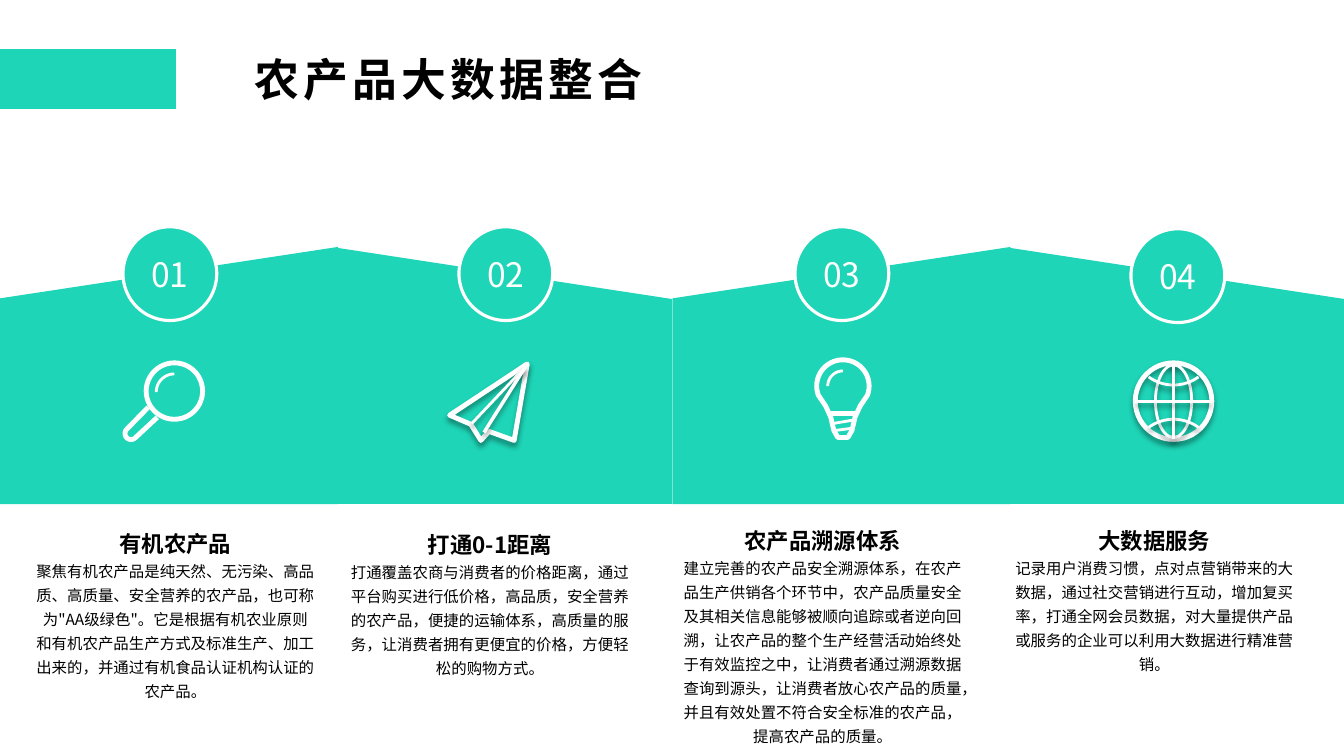
from math import cos, radians, sin

from lxml import etree
from pptx import Presentation
from pptx.dml.color import RGBColor
from pptx.enum.shapes import MSO_CONNECTOR, MSO_SHAPE
from pptx.enum.text import MSO_ANCHOR, MSO_AUTO_SIZE, PP_ALIGN
from pptx.oxml import parse_xml
from pptx.oxml.ns import nsdecls, qn
from pptx.util import Inches, Pt

COLORS = {"teal": "1ED5B7", "white": "FFFFFF", "black": "000000"}
FONT = "Noto Sans CJK SC"
COLUMN = 13.33 / 4


def write(paragraph, text, size=11, color="black", bold=False,
          align=PP_ALIGN.CENTER, line_spacing=None, tracking=0):
    paragraph.alignment = align
    paragraph.line_spacing = line_spacing
    run = paragraph.add_run()
    run.text = text
    run.font.size = Pt(size)
    run.font.bold = bold
    run.font.color.rgb = RGBColor.from_string(COLORS[color])
    run.font.name = FONT
    properties = run.font._element
    etree.SubElement(properties, qn("a:ea")).set("typeface", FONT)
    if tracking:
        properties.set("spc", str(tracking * 100))


def arc(x, y, radius, start, end):
    """Points along a circle, angles in degrees counterclockwise from the right."""
    angles = [radians(start + (end - start) * step / 32) for step in range(33)]
    return [(x + radius * cos(a), y - radius * sin(a)) for a in angles]


presentation = Presentation()
presentation.slide_width = Inches(13.33)
presentation.slide_height = Inches(7.5)
slide = presentation.slides.add_slide(presentation.slide_layouts[5])
shapes = slide.shapes
teal = RGBColor.from_string(COLORS["teal"])
white = RGBColor.from_string(COLORS["white"])

title = shapes.title
title.left, title.top = Inches(2.42), Inches(0.47)
title.width, title.height = Inches(4.93), Inches(0.61)
title.text_frame.vertical_anchor = MSO_ANCHOR.MIDDLE
title.text_frame.auto_size = MSO_AUTO_SIZE.NONE
write(title.text_frame.paragraphs[0], "农产品大数据整合", size=32, bold=True,
      align=PP_ALIGN.LEFT, tracking=3)

title_bar = shapes.add_shape(MSO_SHAPE.RECTANGLE, Inches(-0.03), Inches(0.48),
                             Inches(1.78), Inches(0.61))
title_bar.shadow.inherit = False
title_bar.fill.solid()
title_bar.fill.fore_color.rgb = teal
title_bar.line.color.rgb = white
title_bar.line.width = Pt(1)

# Slanted bands, every second one mirrored
for left, top, width, mirrored in [
    (0, 2.45, 3.35, False), (3.35, 2.46, 3.32, True),
    (6.67, 2.45, 3.35, False), (10.02, 2.46, 3.32, True),
]:
    band = shapes.add_shape(MSO_SHAPE.FLOWCHART_MANUAL_INPUT, Inches(left),
                            Inches(top), Inches(width), Inches(5 - top))
    band.shadow.inherit = False
    band.fill.solid()
    band.fill.fore_color.rgb = teal
    band.line.fill.background()
    if mirrored:
        band.element.spPr.xfrm.set("flipH", "1")

# Numbered circles and the texts below: left, top, height, heading, body
topics = [
    (0.25, 5.13, 2.14, "有机农产品",
     "聚焦有机农产品是纯天然、无污染、高品质、高质量、安全营养的农产品，也可称为\"AA级绿色\"。"
     "它是根据有机农业原则和有机农产品生产方式及标准生产、加工出来的，并通过有机食品认证机构认证的农产品。"),
    (3.37, 5.14, 1.65, "打通0-1距离",
     "打通覆盖农商与消费者的价格距离，通过平台购买进行低价格，高品质，安全营养的农产品，"
     "便捷的运输体系，高质量的服务，让消费者拥有更便宜的价格，方便轻松的购物方式。"),
    (6.67, 5.1, 2.38, "农产品溯源体系",
     "建立完善的农产品安全溯源体系，在农产品生产供销各个环节中，农产品质量安全及其相关信息能够被"
     "顺向追踪或者逆向回溯，让农产品的整个生产经营活动始终处于有效监控之中，让消费者通过溯源数据"
     "查询到源头，让消费者放心农产品的质量，并且有效处置不符合安全标准的农产品，提高农产品的质量。"),
    (9.96, 5.1, 1.89, "大数据服务",
     "记录用户消费习惯，点对点营销带来的大数据，通过社交营销进行互动，增加复买率，"
     "打通全网会员数据，对大量提供产品或服务的企业可以利用大数据进行精准营销。"),
]
for index, (left, top, height, heading, body) in enumerate(topics):
    badge = shapes.add_shape(MSO_SHAPE.OVAL, Inches(1.22 + index * COLUMN),
                             Inches(2.27 if index == 3 else 2.25),
                             Inches(0.93), Inches(0.93))
    badge.shadow.inherit = False
    badge.fill.solid()
    badge.fill.fore_color.rgb = teal
    badge.line.color.rgb = white
    badge.line.width = Pt(2.25)
    badge.text_frame.word_wrap = False
    badge.text_frame.vertical_anchor = MSO_ANCHOR.MIDDLE
    write(badge.text_frame.paragraphs[0], f"{index + 1:02}", size=24, color="white")

    frame = shapes.add_textbox(Inches(left), Inches(top), Inches(2.98),
                               Inches(height)).text_frame
    frame.word_wrap = True
    frame.auto_size = MSO_AUTO_SIZE.SHAPE_TO_FIT_TEXT
    write(frame.paragraphs[0], heading, size=16, bold=True, line_spacing=1.3)
    write(frame.add_paragraph(), body, line_spacing=1.3)

# Icons: strokes are drawn in white, some with a soft shadow
strokes = []

# Magnifier ring, globe rim and globe meridian: centre, radii, width, shadow
for x, y, radius_x, radius_y, weight, shadowed in [
    (1.73, 3.88, 0.28, 0.28, 3.5, False),
    (11.64, 3.98, 0.38, 0.38, 3.5, True),
    (11.64, 3.98, 0.18, 0.36, 2, True),
]:
    ring = shapes.add_shape(MSO_SHAPE.OVAL, Inches(x - radius_x), Inches(y - radius_y),
                            Inches(2 * radius_x), Inches(2 * radius_y))
    strokes.append((ring, weight, shadowed))

handle = [(1.47, 4.04), *arc(1.3, 4.3, 0.06, 135, 315), (1.56, 4.14)]
bulb = [*arc(8.36, 3.83, 0.26, -20, 200),
        (8.19, 4.03), (8.24, 4.14), (8.27, 4.27), (8.31, 4.34),
        (8.41, 4.34), (8.45, 4.27), (8.48, 4.14), (8.53, 4.03)]
plane = [(5.23, 3.61), (4.46, 4.12), (4.67, 4.21), (4.77, 4.37),
         (4.85, 4.28), (5.1, 4.37)]
for points, closed, weight, shadowed in [
    (handle, False, 3.5, False),
    (arc(1.73, 3.89, 0.18, 90, 180), False, 2, False),
    (bulb, True, 3.5, False),
    (arc(8.36, 3.83, 0.15, 90, 180), False, 2, False),
    (plane, True, 3.5, True),
    (arc(11.64, 3.4, 0.42, 234, 306), False, 2, True),
    (arc(11.64, 4.58, 0.42, 54, 126), False, 2, True),
]:
    corners = [(Inches(x), Inches(y)) for x, y in points]
    builder = shapes.build_freeform(*corners[0])
    builder.add_line_segments(corners[1:], close=closed)
    strokes.append((builder.convert_to_shape(), weight, shadowed))

for x1, y1, x2, y2, weight, shadowed in [
    (5.21, 3.64, 4.68, 4.2, 2, True),
    (5.21, 3.64, 4.8, 4.29, 2.5, True),
    (8.23, 4.1, 8.49, 4.1, 3.5, False),
    (8.27, 4.2, 8.45, 4.17, 2, False),
    (8.29, 4.27, 8.44, 4.25, 2, False),
    (11.64, 3.6, 11.64, 4.36, 2, True),
    (11.26, 3.98, 12.02, 3.98, 2, True),
]:
    segment = shapes.add_connector(MSO_CONNECTOR.STRAIGHT, Inches(x1), Inches(y1),
                                   Inches(x2), Inches(y2))
    strokes.append((segment, weight, shadowed))

SOFT_SHADOW = (
    '<a:outerShdw blurRad="50800" dist="38100" dir="5400000" algn="t" rotWithShape="0">'
    '<a:srgbClr val="000000"><a:alpha val="40000"/></a:srgbClr></a:outerShdw>'
)
for stroke, weight, shadowed in strokes:
    if hasattr(stroke, "fill"):
        stroke.fill.background()
    stroke.line.color.rgb = white
    stroke.line.width = Pt(weight)
    effect = SOFT_SHADOW if shadowed else ""
    stroke.element.spPr.append(
        parse_xml(f"<a:effectLst {nsdecls('a')}>{effect}</a:effectLst>"))

presentation.save("out.pptx")
